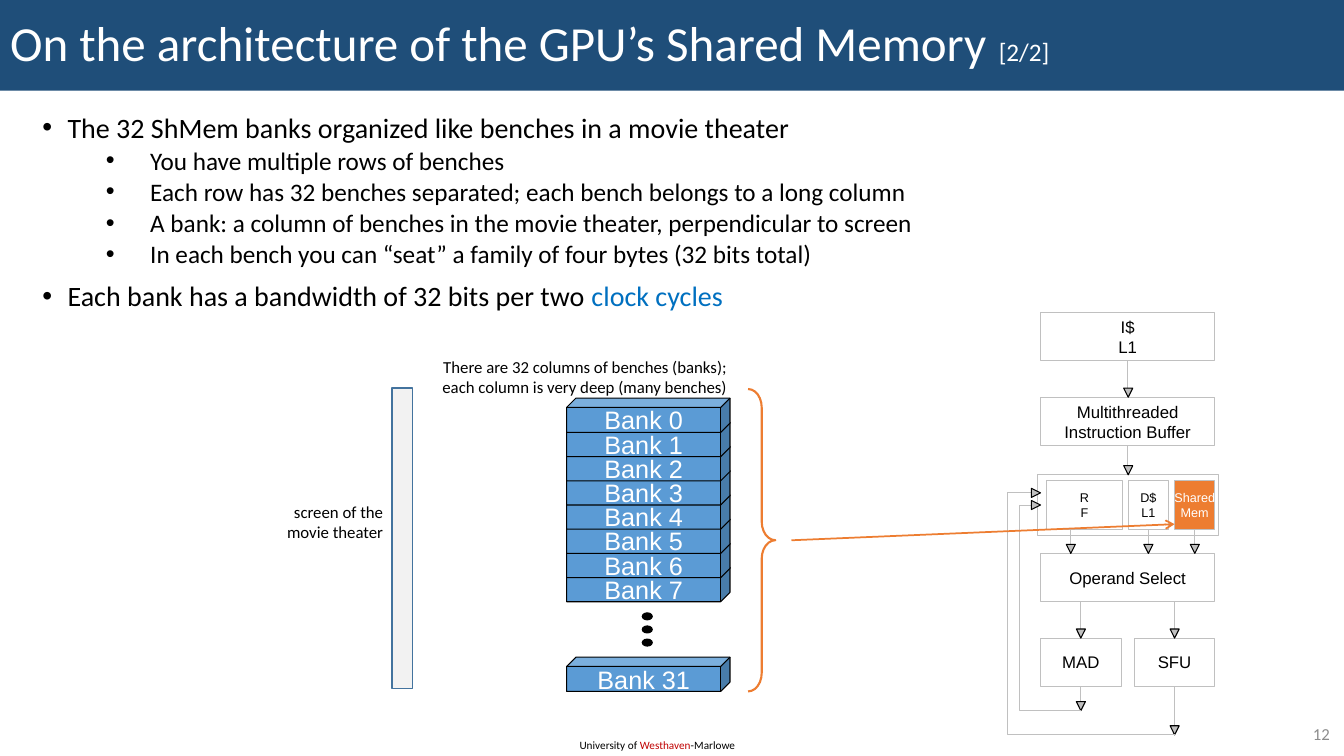
"""Build the slide on the architecture of the GPU's shared memory."""
from lxml import etree
from pptx import Presentation
from pptx.dml.color import RGBColor
from pptx.enum.shapes import MSO_CONNECTOR as CONN, MSO_SHAPE as SHAPE
from pptx.enum.text import MSO_ANCHOR as ANCHOR, MSO_AUTO_SIZE as AUTO, PP_ALIGN as ALIGN
from pptx.oxml.ns import qn
from pptx.util import Inches, Pt

BLACK, WHITE, GREY, ORANGE = "000000", "FFFFFF", "C0C0C0", "ED7D31"

TITLE = [("On the architecture of the GPU’s Shared Memory ", 35, WHITE), ("[2/2]", 18, WHITE)]
BULLETS = [
    (0, 0.8, [("The 32 ShMem banks organized like benches in a movie theater", BLACK)]),
    (1, 0.8, [("You have multiple rows of benches", BLACK)]),
    (1, 0.8, [("Each row has 32 benches separated; each bench belongs to a long column", BLACK)]),
    (1, 0.8, [("A bank: a column of benches in the movie theater, perpendicular to screen", BLACK)]),
    (1, 0.8, [("In each bench you can “seat” a family of four bytes (32 bits total)", BLACK)]),
    (0, 0.9, [("Each bank has a bandwidth of 32 bits per two ", BLACK), ("clock cycles", "0070C0")]),
]
LEVELS = [(20, 10, 0.25, -0.25), (18, 5, 1.07, -0.44)]

BLOCKS = {
    "cluster": (10.29, 4.71, 1.79, 0.6, [], 12, WHITE, BLACK),
    "icache": (10.32, 3.1, 1.73, 0.48, ["I$", "L1"], 12, WHITE, BLACK),
    "buffer": (10.32, 3.94, 1.73, 0.48, ["Multithreaded", "Instruction Buffer"], 12, WHITE, BLACK),
    "rf": (10.38, 4.77, 0.75, 0.48, ["R", "F"], 9, WHITE, BLACK),
    "dcache": (11.19, 4.77, 0.4, 0.48, ["D$", "L1"], 9, WHITE, BLACK),
    "shared": (11.65, 4.77, 0.4, 0.48, ["Shared", "Mem"], 9, ORANGE, WHITE),
    "operand": (10.32, 5.49, 1.73, 0.48, ["Operand Select"], 12, WHITE, BLACK),
    "mad": (10.32, 6.33, 0.8, 0.48, ["MAD"], 12, WHITE, BLACK),
    "sfu": (11.25, 6.33, 0.8, 0.48, ["SFU"], 12, WHITE, BLACK),
}
FLOWS = [
    (11.19, 3.58, 3.94, "icache", "buffer"),
    (11.19, 4.42, 4.71, "buffer", "cluster"),
    (10.62, 5.25, 5.49, None, None),
    (11.39, 5.25, 5.49, "dcache", None),
    (11.85, 5.25, 5.49, "shared", None),
    (10.72, 5.97, 6.33, None, "mad"),
    (11.65, 5.97, 6.33, None, "sfu"),
    (10.72, 6.81, 7.05, "mad", None),
    (11.65, 6.81, 7.29, "sfu", None),
]
LOOPS = [(10.72, 7.05, 10.11, 5.01), (11.65, 7.29, 9.99, 4.89)]
LOOP_TIP = 10.32
HEAD_LENGTH, HEAD_HALF = 0.09, 0.045

BANK_TOP, BANK_STEP, LAST_BANK_TOP = 3.95, 0.24, 6.52
BANKS = [(31, LAST_BANK_TOP)] + [(n, BANK_TOP + n * BANK_STEP) for n in reversed(range(8))]
DOT_TOP, DOT_STEP = 6.08, 0.13

LABELS = [
    (2.73, 4.93, 1.17, 0.5, [[("screen of the", 12, BLACK)], [("movie theater", 12, BLACK)]], False),
    (4.26, 3.49, 3.05, 0.5, [[("There are 32 columns of benches (banks);", 12, BLACK)],
                             [("each column is very deep (many benches)", 12, BLACK)]], True),
    (12.53, 7.13, 0.76, 0.29, [[("12", 12, "8C8C8C")]], True),
]
FOOTER = [("University of ", 8, BLACK), ("Westhaven", 8, "C00000"), ("-Marlowe", 8, BLACK)]


def rgb(value):
    return RGBColor.from_string(value)


def add_runs(p, runs, font="Calibri"):
    for text, size, color in runs:
        r = p.add_run()
        r.text = text
        r.font.name, r.font.size = font, Pt(size)
        r.font.color.rgb = rgb(color)


def write(tf, paragraphs, align, font="Calibri", wrap=True):
    tf.word_wrap = wrap
    tf.vertical_anchor = ANCHOR.MIDDLE
    for i, runs in enumerate(paragraphs):
        p = tf.add_paragraph() if i else tf.paragraphs[0]
        p.alignment = align
        add_runs(p, runs, font)


def place(sp, *box):
    sp.left, sp.top, sp.width, sp.height = map(Inches, box)


def paint(sp, fill=None, line=None, width=0.63):
    sp.shadow.inherit = False
    if fill:
        sp.fill.solid()
        sp.fill.fore_color.rgb = rgb(fill)
    else:
        sp.fill.background()
    if line:
        sp.line.color.rgb = rgb(line)
        sp.line.width = Pt(width)
    else:
        sp.line.fill.background()


def add_shape(s, kind, box, fill=None, line=None, width=0.63):
    sp = s.shapes.add_shape(kind, *map(Inches, box))
    paint(sp, fill, line, width)
    return sp


def add_label(s, box, paragraphs, align, wrap=True):
    sp = s.shapes.add_textbox(*map(Inches, box))
    write(sp.text_frame, paragraphs, align, wrap=wrap)


def add_line(s, x0, y0, x1, y1, color, width):
    line = s.shapes.add_connector(CONN.STRAIGHT, *map(Inches, (x0, y0, x1, y1)))
    line.line.color.rgb = rgb(color)
    line.line.width = Pt(width)
    etree.SubElement(line._element.spPr, qn("a:effectLst"))
    return line


def add_outline(s, points, close, fill, line, width):
    (x, y), *rest = [(Inches(a), Inches(b)) for a, b in points]
    builder = s.shapes.build_freeform(x, y)
    builder.add_line_segments(rest, close=close)
    paint(builder.convert_to_shape(), fill, line, width)


def add_head(s, x, y, dx, dy):
    base_x, base_y = x - dx * HEAD_LENGTH, y - dy * HEAD_LENGTH
    side_x, side_y = dy * HEAD_HALF, dx * HEAD_HALF
    points = [(x, y), (base_x - side_x, base_y - side_y), (base_x + side_x, base_y + side_y)]
    add_outline(s, points, True, GREY, BLACK, 0)


def add_heading(s):
    title = s.shapes.title
    place(title, 0, 0, 13.33, 0.9)
    paint(title, "1F4E79")
    title.text_frame.auto_size = AUTO.NONE
    write(title.text_frame, [TITLE], ALIGN.LEFT)
    title.text_frame.paragraphs[0].line_spacing = 0.9


def add_bullets(s):
    body = s.placeholders[1]
    place(body, 0.32, 1.11, 9, 4.71)
    tf = body.text_frame
    tf.auto_size = AUTO.NONE
    for i, (level, spacing, runs) in enumerate(BULLETS):
        size, before, margin, indent = LEVELS[level]
        p = tf.add_paragraph() if i else tf.paragraphs[0]
        p.level, p.line_spacing = level, spacing
        p.space_before, p.space_after = Pt(before), Pt(0)
        add_runs(p, [(text, size, color) for text, color in runs])
        ppr = p._p.get_or_add_pPr()
        ppr.set("marL", str(Inches(margin)))
        ppr.set("indent", str(Inches(indent)))
        etree.SubElement(ppr, qn("a:buFont")).set("typeface", "Arial")
        etree.SubElement(ppr, qn("a:buChar")).set("char", "•")


def add_pipeline(s):
    blocks = {}
    for name, (x, y, w, h, lines, size, fill, color) in BLOCKS.items():
        sp = blocks[name] = add_shape(s, SHAPE.RECTANGLE, (x, y, w, h), fill, GREY)
        tf = sp.text_frame
        tf.margin_left = tf.margin_right = tf.margin_top = tf.margin_bottom = 0
        write(tf, [[(text, size, color)] for text in lines], ALIGN.CENTER, "Arial", False)
    for x, y0, y1, source, target in FLOWS:
        line = add_line(s, x, y0, x, y1, GREY, 0.63)
        if source:
            line.begin_connect(blocks[source], 2)
        if target:
            line.end_connect(blocks[target], 0)
        add_head(s, x, y1, 0, 1)
    for x, bottom, left, top in LOOPS:
        points = [(x, bottom), (left, bottom), (left, top), (LOOP_TIP, top)]
        add_outline(s, points, False, None, GREY, 0.63)
        add_head(s, LOOP_TIP, top, 1, 0)


def add_banks(s):
    for number, top in BANKS:
        bank = add_shape(s, SHAPE.CUBE, (5.62, top, 1.62, 0.34), "5B9BD5", BLACK, 0.75)
        bank.adjustments[0] = 0.27
        write(bank.text_frame, [[(f"Bank {number}", 18, WHITE)]], ALIGN.CENTER, "Arial", False)
    for i in range(3):
        add_shape(s, SHAPE.OVAL, (6.37, DOT_TOP + i * DOT_STEP, 0.1, 0.07), BLACK, BLACK, 0.75)
    add_shape(s, SHAPE.RECTANGLE, (3.89, 3.85, 0.2, 2.98), "F2F2F2", "43739E", 1)
    brace = add_shape(s, SHAPE.RIGHT_BRACE, (7.42, 3.86, 0.27, 3), None, ORANGE, 1.5)
    brace.adjustments[0], brace.adjustments[1] = 0.68, 0.5
    pointer = add_line(s, 7.85, 5.36, 11.65, 5.2, ORANGE, 1.25)
    etree.SubElement(pointer.line._get_or_add_ln(), qn("a:tailEnd")).set("type", "arrow")


def main():
    prs = Presentation()
    prs.slide_width, prs.slide_height = Inches(13.33), Inches(7.5)
    s = prs.slides.add_slide(prs.slide_layouts[1])
    add_heading(s)
    add_bullets(s)
    add_pipeline(s)
    add_banks(s)
    for *box, paragraphs, wrap in LABELS:
        add_label(s, box, paragraphs, ALIGN.RIGHT, wrap)
    add_label(s, (5.65, 7.28, 2.2, 0.22), [FOOTER], ALIGN.LEFT)
    prs.save("out.pptx")


if __name__ == "__main__":
    main()
